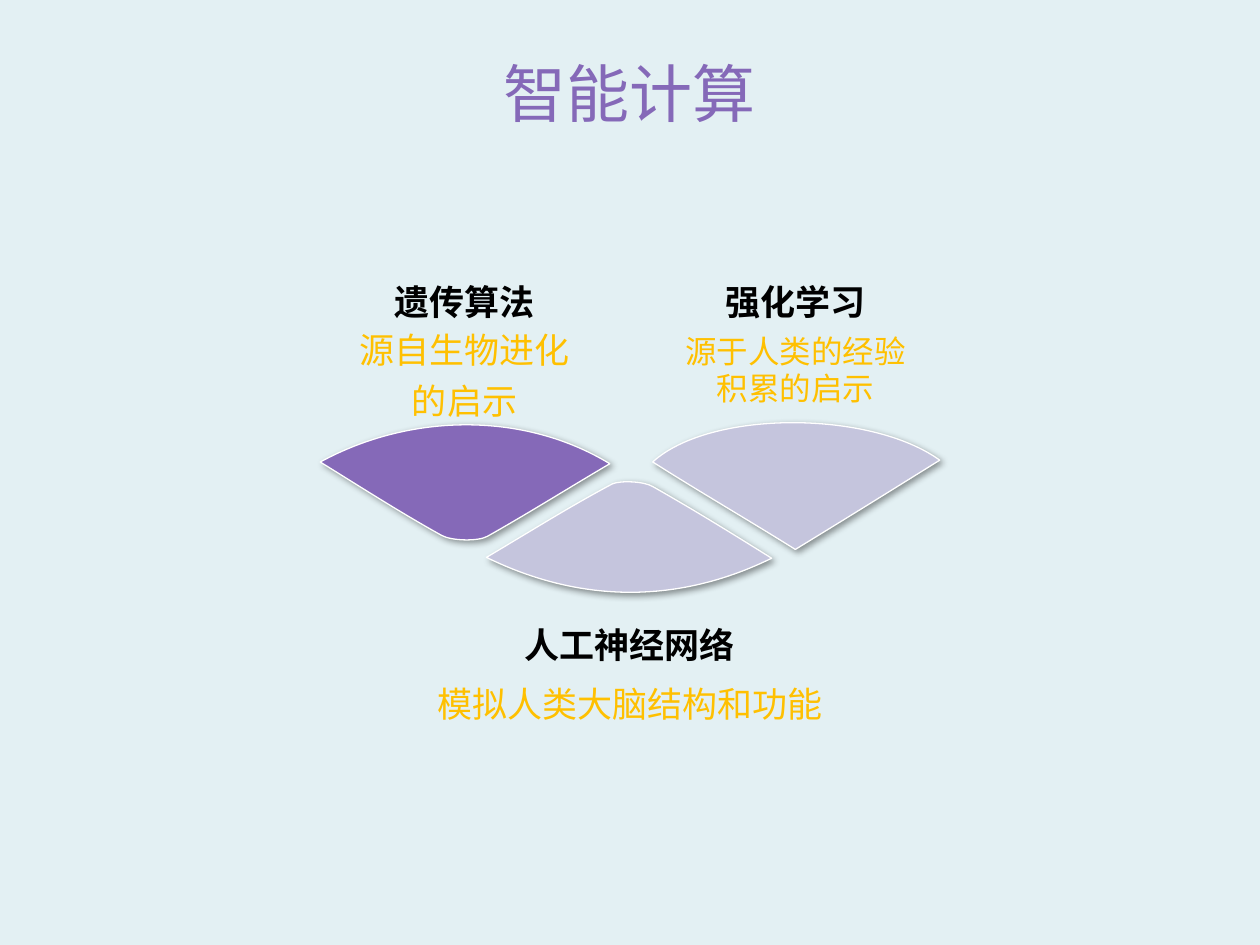
from itertools import chain

from lxml import etree
from pptx import Presentation
from pptx.dml.color import RGBColor
from pptx.enum import text
from pptx.oxml import ns
from pptx.util import Pt

FONT = "Noto Sans CJK SC"
BACKGROUND, PURPLE, LAVENDER = "E3F0F3", "8569B8", "C5C5DD"
BLACK, GOLD, WHITE = "000000", "FFC000", "FFFFFF"


def color(value):
    return RGBColor.from_string(value)


def write(frame, content, size=20, fill=BLACK, bold=False, spacing=1.0):
    paragraph = frame.paragraphs[0]
    paragraph.alignment = text.PP_ALIGN.CENTER
    paragraph.line_spacing = spacing
    run = paragraph.add_run()
    run.text = content
    run.font.size = Pt(size)
    run.font.bold = bold
    run.font.name = FONT
    run.font.color.rgb = color(fill)
    east_asian = etree.SubElement(run.font._element, ns.qn("a:ea"))
    east_asian.set("typeface", FONT)


class Deck:
    def __init__(self, presentation):
        self.slide = presentation.slides.add_slide(presentation.slide_layouts[5])
        background = self.slide.background.fill
        background.solid()
        background.fore_color.rgb = color(BACKGROUND)

    def frame(self, shape, anchor):
        frame = shape.text_frame
        frame.word_wrap = True
        frame.auto_size = text.MSO_AUTO_SIZE.NONE
        frame.vertical_anchor = anchor
        return frame

    def title(self, content, left, top, width, height):
        shape = self.slide.shapes.title
        shape.left, shape.top = Pt(left), Pt(top)
        shape.width, shape.height = Pt(width), Pt(height)
        write(self.frame(shape, text.MSO_ANCHOR.MIDDLE), content, size=36, fill=PURPLE)

    def text_box(self, center, top, width, height):
        return self.slide.shapes.add_textbox(
            Pt(center - width / 2), Pt(top), Pt(width), Pt(height))

    def heading(self, content, center, top):
        shape = self.text_box(center, top, 155, 27)
        write(self.frame(shape, text.MSO_ANCHOR.MIDDLE), content, bold=True)

    def description(self, content, center, top, width, height, **style):
        shape = self.text_box(center, top, width, height)
        write(self.frame(shape, text.MSO_ANCHOR.TOP), content, fill=GOLD, **style)

    def petal(self, fill, start, *curves):
        across, down = zip(start, *chain.from_iterable(curves))
        left, top = min(across), min(down)
        builder = self.slide.shapes.build_freeform(Pt(left), Pt(top))
        builder.add_line_segments([(Pt(max(across)), Pt(max(down)))])
        shape = builder.convert_to_shape()
        self.outline(shape, left, top, start, curves)
        shape.fill.solid()
        shape.fill.fore_color.rgb = color(fill)
        shape.line.color.rgb = color(WHITE)
        shape.line.width = Pt(0.75)
        self.shadow(shape)

    def outline(self, shape, left, top, start, curves):
        outline = next(shape.element.spPr.iter(ns.qn("a:path")))
        for segment in list(outline):
            outline.remove(segment)
        commands = [("a:moveTo", [start])] + [("a:cubicBezTo", curve) for curve in curves]
        for command, points in commands:
            segment = etree.SubElement(outline, ns.qn(command))
            for x, y in points:
                etree.SubElement(segment, ns.qn("a:pt"),
                                 x=str(Pt(x - left)), y=str(Pt(y - top)))
        etree.SubElement(outline, ns.qn("a:close"))

    def shadow(self, shape):
        shape.shadow.inherit = False
        effects = shape.element.spPr.find(ns.qn("a:effectLst"))
        outer = etree.SubElement(effects, ns.qn("a:outerShdw"), blurRad=str(Pt(4)),
                                 dist=str(Pt(2)), dir="2700000", rotWithShape="0")
        tint = etree.SubElement(outer, ns.qn("a:srgbClr"), val=BLACK)
        etree.SubElement(tint, ns.qn("a:alpha"), val="40000")


def main():
    presentation = Presentation()
    presentation.slide_width, presentation.slide_height = Pt(720), Pt(540)
    deck = Deck(presentation)
    deck.title("智能计算", 147, 27.5, 425, 50)

    deck.petal(PURPLE, (183, 264),
               ((235.5, 235.5), (300, 235.5), (348.5, 265)),
               ((325.5, 278.5), (302.5, 293), (278.5, 306.5)),
               ((273, 309.5), (258, 309), (252.5, 306)),
               ((229, 293), (206.5, 278.5), (183, 264)))
    deck.petal(LAVENDER, (441, 319),
               ((388, 345), (332, 345), (278, 318.5)),
               ((302.5, 304), (325.5, 289.5), (350, 276.5)),
               ((354.5, 274.5), (368, 275), (373, 278)),
               ((396, 291), (417, 304), (441, 319)))
    deck.petal(LAVENDER, (454.5, 314),
               ((424, 295), (398, 280), (373, 264)),
               ((406, 234), (497.5, 234.5), (537, 263)),
               ((510.5, 279.5), (484, 296), (454.5, 314)))

    deck.heading("人工神经网络", 360, 354.5)
    deck.description("模拟人类大脑结构和功能", 360, 381.5, 242, 27.5, spacing=1.2)
    deck.heading("强化学习", 454.5, 158.5)
    deck.description("源于人类的经验积累的启示", 454.5, 186, 155, 52, size=18)
    deck.heading("遗传算法", 265.5, 158.5)
    deck.description("源自生物进化的启示", 265.5, 179.5, 141, 65, spacing=1.2)

    presentation.save("out.pptx")


if __name__ == "__main__":
    main()
